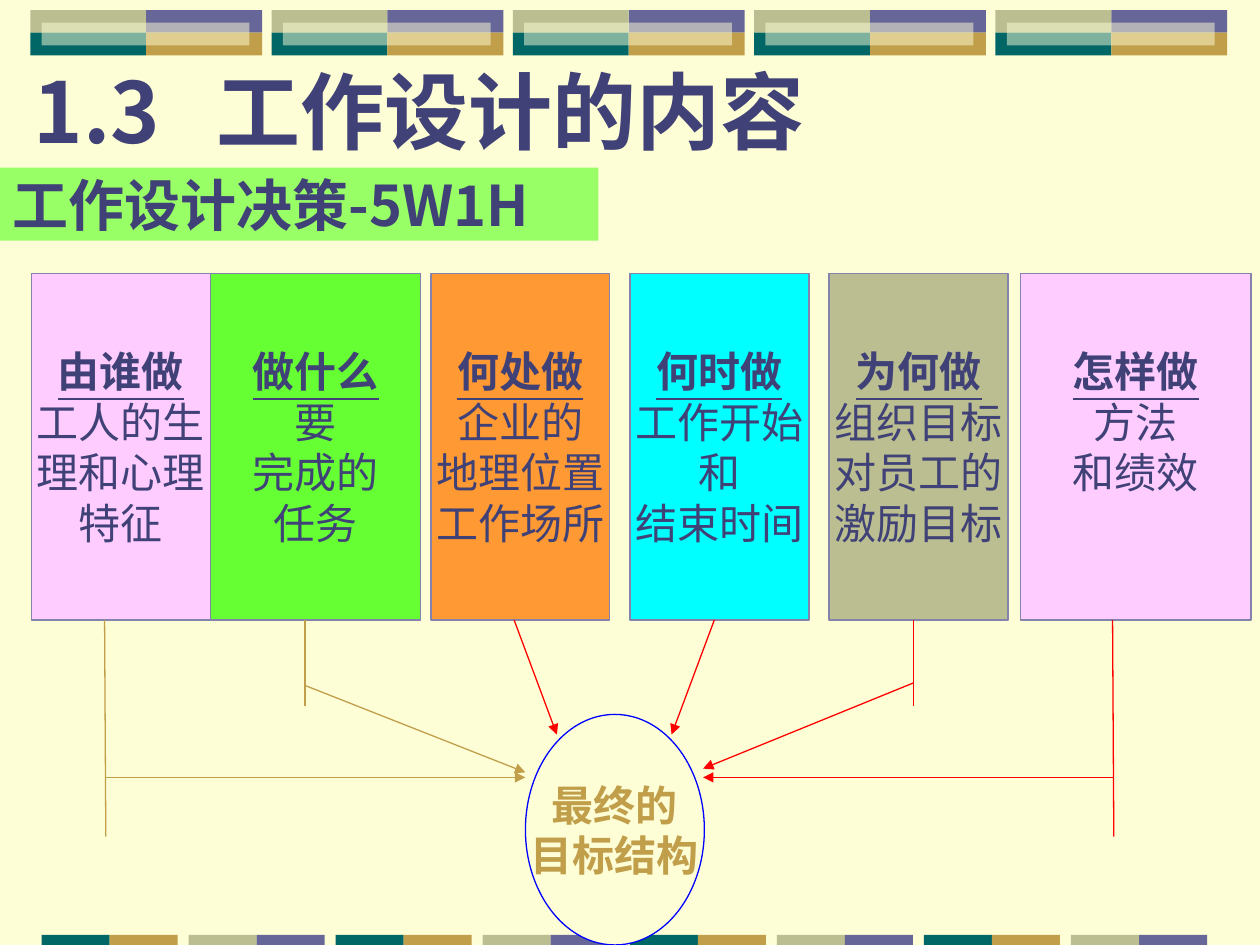
"""Build the 5W1H job design slide: six question cards leading to one goal."""
from dataclasses import dataclass

from lxml.etree import SubElement
from pptx import Presentation
from pptx.dml.color import RGBColor as RGB
from pptx.enum.shapes import MSO_CONNECTOR as Link, MSO_SHAPE as Kind
from pptx.enum.text import MSO_ANCHOR as Anchor, PP_ALIGN as Align
from pptx.oxml.ns import qn
from pptx.util import Inches, Pt


@dataclass(frozen=True)
class Theme:
    paper: str = "FEFED6"
    ink: str = "404176"
    edge: str = "8383AD"
    gold: str = "C09E4A"
    teal: str = "006666"
    plum: str = "666699"
    sage: str = "BABE90"
    pink: str = "FFCCFF"
    green: str = "66FF33"
    orange: str = "FF9933"
    cyan: str = "00FFFF"
    lime: str = "99FF66"
    red: str = "FF0000"
    blue: str = "0000FF"
    head: str = "Noto Sans CJK SC"
    body: str = "Lato"
    title: int = 48
    band: int = 32
    text: int = 24
    rule: float = 0.75


theme = Theme()


def box(kind, left, top, width, height, fill, line=None):
    shape = slide.shapes.add_shape(kind, *map(Inches, (left, top, width, height)))
    shape.shadow.inherit = False
    shape.fill.solid()
    shape.fill.fore_color.rgb = RGB.from_string(fill)
    if line:
        shape.line.color.rgb = RGB.from_string(line)
        shape.line.width = Pt(theme.rule)
    else:
        shape.line.fill.background()
    return shape


def write(shape, rows, face, size, color, align, wrap):
    frame = shape.text_frame
    frame.word_wrap = wrap
    frame.vertical_anchor = Anchor.MIDDLE
    for num, (text, style) in enumerate(rows):
        para = frame.paragraphs[0] if num == 0 else frame.add_paragraph()
        para.alignment = align
        run = para.add_run()
        run.text = text
        font = run.font
        for name, value in {"name": face, "size": Pt(size), **style}.items():
            setattr(font, name, value)
        font.color.rgb = RGB.from_string(color)
        SubElement(run._r.get_or_add_rPr(), qn("a:ea"), typeface=face)


deck = Presentation()
deck.slide_width, deck.slide_height = Inches(10), Inches(7.5)
slide = deck.slides.add_slide(deck.slide_layouts[6])
slide.background.fill.solid()
slide.background.fill.fore_color.rgb = RGB.from_string(theme.paper)

tiles = [[theme.sage, theme.plum], [theme.teal, theme.gold]]
for unit in range(5):
    left = 0.24 + unit * (7.9 - 0.24) / 4
    for row, pair in enumerate(tiles):
        for col, fill in enumerate(pair):
            box(Kind.RECTANGLE, left + col * 0.92, 0.08 + row * 0.18, 0.92, 0.18, fill)
    glass = box(Kind.RECTANGLE, left + 0.09, 0.18, 1.65, 0.18, theme.paper)
    tint = glass.fill._xPr.find(".//" + qn("a:srgbClr"))
    SubElement(tint, qn("a:alpha"), val="50000")

for unit in range(8):
    left = 0.33 + unit * (8.5 - 0.33) / 7
    for col, fill in enumerate(tiles[(unit + 1) % 2]):
        box(Kind.RECTANGLE, left + col * 0.54, 7.42, 0.54, 0.08, fill)

bold = {"bold": True}
plain = {"bold": False}
title = slide.shapes.add_textbox(*map(Inches, (0.17, 0.25, 7, 1.25)))
props = title.text_frame.paragraphs[0]._p.get_or_add_pPr()
stops = SubElement(props, qn("a:tabLst"))
SubElement(stops, qn("a:tab"), pos=str(Inches(1.45)), algn="l")
write(title, [("1.3\t工作设计的内容", bold)], theme.head, theme.title, theme.ink, Align.LEFT, True)

cards = [
    (0.25, 1.42, theme.pink, ["由谁做", "工人的生", "理和心理", "特征"]),
    (1.67, 1.67, theme.green, ["做什么", "要", "完成的", "任务"]),
    (3.42, 1.42, theme.orange, ["何处做", "企业的", "地理位置", "工作场所"]),
    (5, 1.42, theme.cyan, ["何时做", "工作开始", "和", "结束时间"]),
    (6.58, 1.42, theme.sage, ["为何做", "组织目标", "对员工的", "激励目标"]),
    (8.1, 1.83, theme.pink, ["怎样做", "方法", "和绩效"]),
]
for left, width, fill, (ask, *reply) in cards:
    card = box(Kind.RECTANGLE, left, 2.17, width, 2.75, fill, theme.edge)
    rows = [(ask, {"bold": True, "underline": True})] + [(text, plain) for text in reply]
    write(card, rows, theme.body, theme.text, theme.ink, Align.CENTER, False)
    card.text_frame.margin_bottom = Inches(0.05 + 0.4 * (4 - len(rows)))

goal = box(Kind.OVAL, 4.17, 5.67, 1.42, 1.83, theme.paper, theme.blue)
rows = [("最终的", bold), ("目标结构", bold)]
write(goal, rows, theme.body, theme.text, theme.gold, Align.CENTER, False)

lines = [
    (0.83, 4.92, 0.84, 6.64, theme.gold, False),
    (0.83, 6.17, 4.17, 6.17, theme.gold, True),
    (2.42, 4.92, 2.42, 5.6, theme.gold, False),
    (2.42, 5.44, 4.17, 6.13, theme.gold, True),
    (4.08, 4.92, 4.42, 5.83, theme.red, True),
    (8.83, 4.92, 8.84, 6.64, theme.red, False),
    (8.83, 6.17, 5.58, 6.17, theme.red, True),
    (7.25, 4.92, 7.25, 5.6, theme.red, False),
    (7.25, 5.42, 5.58, 6.1, theme.red, True),
    (5.67, 4.92, 5.33, 5.83, theme.red, True),
]
for *ends, color, arrow in lines:
    link = slide.shapes.add_connector(Link.STRAIGHT, *map(Inches, ends))
    link.line.color.rgb = RGB.from_string(color)
    link.line.width = Pt(theme.rule)
    if arrow:
        SubElement(link.line._get_or_add_ln(), qn("a:tailEnd"), type="triangle")
    SubElement(link._element.spPr, qn("a:effectLst"))

band = box(Kind.RECTANGLE, 0, 1.33, 4.75, 0.58, theme.lime)
rows = [("工作设计决策-5W1H", bold)]
write(band, rows, theme.head, theme.band, theme.ink, Align.LEFT, True)

deck.save("out.pptx")
